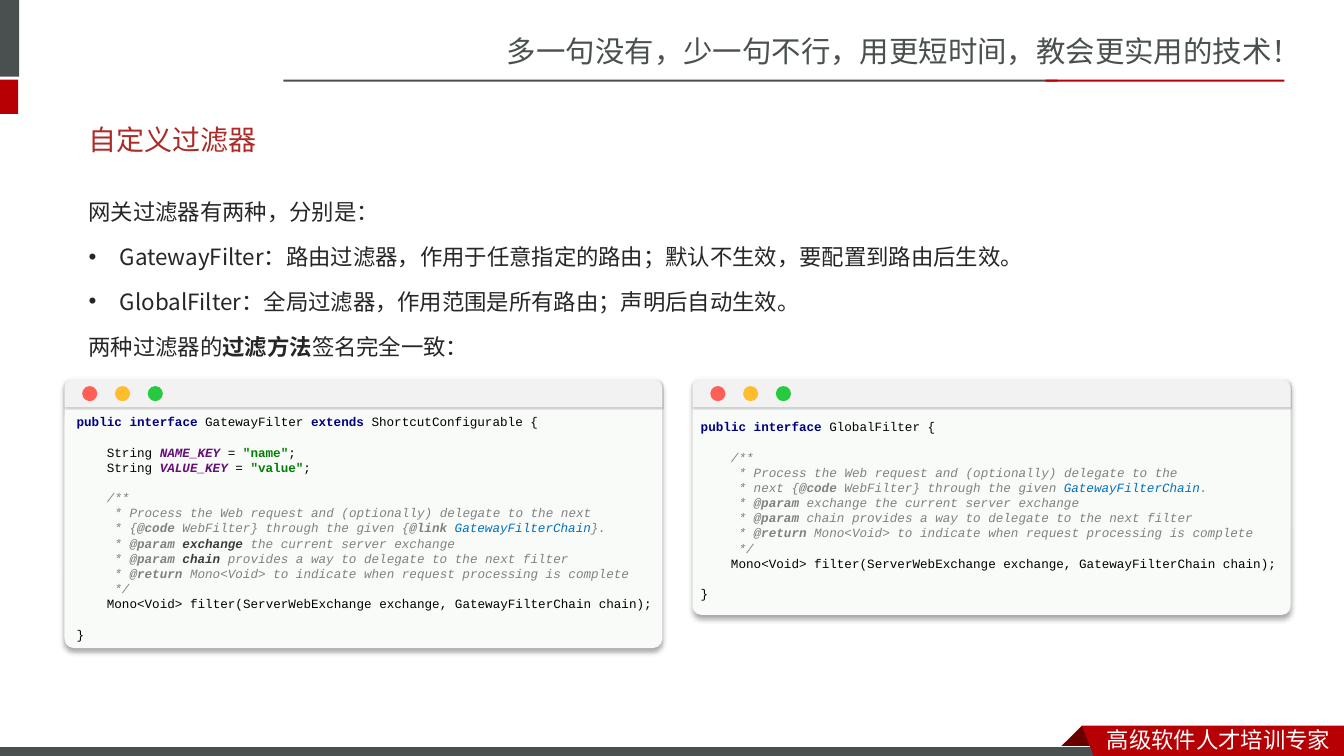
from copy import deepcopy
from dataclasses import dataclass

from lxml import etree
from pptx import Presentation
from pptx import util as u
from pptx.dml.color import RGBColor
from pptx.enum import shapes, text
from pptx.oxml import ns

COLORS = {
    "slate": "49504F", "red": "B60004", "fold": "680000", "title": "AD2B26",
    "body": "262626", "white": "FFFFFF", "black": "000000",
    "paper": "F9FBF9", "bar": "F2F2F2",
    "keyword": "000080", "comment": "808080", "link": "0070C0",
    "constant": "660E7A", "string": "008000", "param": "3D3D3D",
}
LIGHTS = ("FF5F56", "FFBD2E", "27C93F")
CJK_SC, CJK_JP, MONO = "Noto Sans CJK SC", "Noto Sans CJK JP", "Courier New"


@dataclass(frozen=True)
class Style:
    color: str
    size: float = 9
    latin: str = MONO
    east: str = CJK_SC
    bold: bool = False
    italic: bool = False


@dataclass(frozen=True)
class Span:
    style: Style
    words: str


@dataclass(frozen=True)
class Place:
    left: float
    top: float
    width: float
    height: float

    def lengths(self) -> list[u.Length]:
        return [u.Inches(n) for n in (self.left, self.top, self.width, self.height)]


@dataclass(frozen=True)
class Shadow:
    alpha: int
    blur: float
    distance: float


@dataclass(frozen=True)
class Window:
    frame: Place
    code_place: Place
    code: list[list[Span]]


SLOGAN = Style("slate", 21, CJK_SC)
FOOTER = Style("white", 16, CJK_SC)
TITLE = Style("title", 20, "Arial")
BODY = Style("body", 16, CJK_JP, CJK_JP)
STRONG = Style("body", 16, CJK_JP, CJK_JP, bold=True)
KEYWORD = Style("keyword", bold=True)
PLAIN = Style("black")
COMMENT = Style("comment", italic=True)
TAG = Style("comment", bold=True, italic=True)
LINK = Style("link", italic=True)
CONSTANT = Style("constant", bold=True, italic=True)
STRING = Style("string", bold=True)
PARAM = Style("param", bold=True, italic=True)

DOC_END = [
    Span(COMMENT, "provides a way to delegate to the next filter\n     * "),
    Span(TAG, "@return "),
    Span(COMMENT, "Mono<Void> to indicate when request processing is complete\n     */\n    "),
    Span(PLAIN, "Mono<Void> filter(ServerWebExchange exchange, GatewayFilterChain chain);\n\n}"),
]
GLOBAL_CODE = [[
    Span(KEYWORD, "public interface "), Span(PLAIN, "GlobalFilter {\n\n    "),
    Span(COMMENT, "/**\n     * Process the Web request and (optionally) delegate to the\n     * next {"),
    Span(TAG, "@code "), Span(COMMENT, "WebFilter} through the given "),
    Span(LINK, "GatewayFilterChain"), Span(COMMENT, ".\n     * "),
    Span(TAG, "@param "), Span(COMMENT, "exchange the current server exchange\n     * "),
    Span(TAG, "@param "), Span(COMMENT, "chain "), *DOC_END,
]]
GATEWAY_CODE = [
    [
        Span(KEYWORD, "public interface "), Span(PLAIN, "GatewayFilter "),
        Span(KEYWORD, "extends "), Span(PLAIN, "ShortcutConfigurable {\n\n    String "),
        Span(CONSTANT, "NAME_KEY "), Span(PLAIN, "= "), Span(STRING, '"name"'),
        Span(PLAIN, ";\n    String "),
        Span(CONSTANT, "VALUE_KEY "), Span(PLAIN, "= "), Span(STRING, '"value"'),
        Span(PLAIN, ";\n\n    "),
        Span(COMMENT, "/**\n     * Process the Web request and (optionally) delegate to the next"),
    ],
    [
        Span(COMMENT, "     * {"), Span(TAG, "@code "),
        Span(COMMENT, "WebFilter} through the given {"), Span(TAG, "@link "),
        Span(LINK, "GatewayFilterChain"), Span(COMMENT, "}.\n     * "),
        Span(TAG, "@param "), Span(PARAM, "exchange "),
        Span(COMMENT, "the current server exchange\n     * "),
        Span(TAG, "@param "), Span(PARAM, "chain "), *DOC_END,
    ],
]
BODY_TEXT = [
    [Span(BODY, "网关过滤器有两种，分别是：")],
    [Span(BODY, "GatewayFilter：路由过滤器，作用于任意指定的路由；默认不生效，要配置到路由后生效。")],
    [Span(BODY, "GlobalFilter：全局过滤器，作用范围是所有路由；声明后自动生效。")],
    [Span(BODY, "两种过滤器的"), Span(STRONG, "过滤方法"), Span(BODY, "签名完全一致：")],
]
BULLETED = (1, 2)
WINDOWS = [
    Window(Place(6.87, 3.74, 5.93, 2.36), Place(6.95, 4.11, 5.82, 1.92), GLOBAL_CODE),
    Window(Place(0.64, 3.74, 5.93, 2.69), Place(0.76, 4.06, 5.76, 2.37), GATEWAY_CODE),
]


def paint(shape, color: str, shadow: Shadow | None = None) -> None:
    shape.fill.solid()
    shape.fill.fore_color.rgb = RGBColor.from_string(color)
    shape.line.fill.background()
    shape.shadow.inherit = False
    if shadow:
        effects = shape._element.spPr.find(ns.qn("a:effectLst"))
        outer = etree.SubElement(
            effects, ns.qn("a:outerShdw"), blurRad=str(u.Pt(shadow.blur)),
            dist=str(u.Pt(shadow.distance)), dir="5400000", algn="t", rotWithShape="0")
        tint = etree.SubElement(outer, ns.qn("a:srgbClr"), val=COLORS["black"])
        etree.SubElement(tint, ns.qn("a:alpha"), val=str(shadow.alpha * 1000))


def add_block(owner, kind, place: Place, color: str, shadow: Shadow | None = None):
    block = owner.add_shape(kind, *place.lengths())
    paint(block, color, shadow)
    return block


def add_outline(owner, points: list[tuple[float, float]], color: str) -> None:
    corners = [(u.Inches(x), u.Inches(y)) for x, y in points]
    builder = owner.build_freeform(*corners[0], scale=1.0)
    builder.add_line_segments(corners[1:], close=True)
    paint(builder.convert_to_shape(), color)


def add_span(para, span: Span) -> None:
    """Add the runs of one span, with a line break at each newline."""
    look = None
    for index, line in enumerate(span.words.split("\n")):
        if index:
            para.add_line_break()
            if look is not None:
                para._p[-1].append(deepcopy(look))
        if line:
            run = para.add_run()
            run.text = line
            font, style = run.font, span.style
            font.size, font.name = u.Pt(style.size), style.latin
            font.bold, font.italic = style.bold, style.italic
            font.color.rgb = RGBColor.from_string(COLORS[style.color])
            look = run._r.rPr
            look.find(ns.qn("a:latin")).addnext(
                etree.Element(ns.qn("a:ea"), typeface=style.east))


def add_text(owner, place: Place, paras: list[list[Span]], side: float = 0.1,
             anchor=text.MSO_ANCHOR.TOP):
    box = owner.add_textbox(*place.lengths())
    frame = box.text_frame
    frame.word_wrap = True
    frame.vertical_anchor = anchor
    frame.margin_left = frame.margin_right = u.Inches(side)
    for index, spans in enumerate(paras):
        para = frame.add_paragraph() if index else frame.paragraphs[0]
        for span in spans:
            add_span(para, span)
    return box


def add_window(page, window: Window) -> None:
    group, frame = page.shapes.add_group_shape().shapes, window.frame
    kinds = shapes.MSO_SHAPE
    card = add_block(group, kinds.ROUNDED_RECTANGLE, frame, COLORS["paper"], Shadow(34, 4, 3))
    card.adjustments[0] = 0.036
    bar = add_block(group, kinds.ROUND_2_SAME_RECTANGLE,
                    Place(frame.left, frame.top + 0.03, frame.width, 0.27),
                    COLORS["bar"], Shadow(20, 1, 1))
    bar.adjustments[0] = 0.3
    for index, color in enumerate(LIGHTS):
        left = frame.left + 0.175 + index * 0.325
        add_block(group, kinds.OVAL, Place(left, frame.top + 0.09, 0.15, 0.15), color)


def add_frame(page) -> None:
    """Draw the slogan, side marks, rules and footer ribbon."""
    owner, rectangle = page.shapes, shapes.MSO_SHAPE.RECTANGLE
    add_text(owner, Place(4.93, 0.28, 8.41, 0.47),
             [[Span(SLOGAN, "多一句没有，少一句不行，用更短时间，教会更实用的技术！")]])
    for place, color in (
        (Place(-0.06, 0, 0.25, 0.76), "slate"), (Place(-0.06, 0.79, 0.24, 0.34), "red"),
        (Place(2.81, 0.79, 7.68, 0.02), "slate"), (Place(10.37, 0.79, 2.37, 0.02), "red"),
    ):
        add_block(owner, rectangle, place, COLORS[color])
    add_outline(owner, [(10.73, 7.2), (10.95, 7.42), (10.94, 7.43), (10.52, 7.43),
                        (10.51, 7.42)], COLORS["fold"])
    base = add_block(owner, rectangle, Place(-0.01, 7.41, 11, 0.12), COLORS["slate"])
    base.line.color.rgb = RGBColor.from_string(COLORS["white"])
    base.line.width = u.Pt(0.75)
    add_outline(owner, [(10.73, 7.2), (13.33, 7.2), (13.33, 7.54), (10.86, 7.53)], COLORS["red"])
    add_text(owner, Place(10.88, 7.15, 2.45, 0.37), [[Span(FOOTER, "高级软件人才培训专家")]])


def add_body(page) -> None:
    body = add_text(page.shapes, Place(0.78, 1.78, 11.7, 4.22), BODY_TEXT)
    for index, para in enumerate(body.text_frame.paragraphs):
        para.line_spacing = u.Pt(28.9)
        if index:
            para.space_before = u.Pt(3.2)
        if index in BULLETED:
            layout = para._p.get_or_add_pPr()
            layout.set("marL", str(u.Inches(0.31)))
            layout.set("indent", str(u.Inches(-0.31)))
            etree.SubElement(layout, ns.qn("a:buFont"), typeface="Arial")
            etree.SubElement(layout, ns.qn("a:buChar"), char="•")


def main() -> None:
    deck = Presentation()
    deck.slide_width, deck.slide_height = u.Inches(13.33), u.Inches(7.5)
    page = deck.slides.add_slide(deck.slide_layouts[6])
    add_frame(page)
    for window in WINDOWS:
        add_window(page, window)
    add_body(page)
    add_text(page.shapes, Place(0.78, 1.1, 11.7, 0.57), [[Span(TITLE, "自定义过滤器")]],
             anchor=text.MSO_ANCHOR.MIDDLE)
    for window in WINDOWS:
        add_text(page.shapes, window.code_place, window.code, side=0)
    deck.save("out.pptx")


if __name__ == "__main__":
    main()
